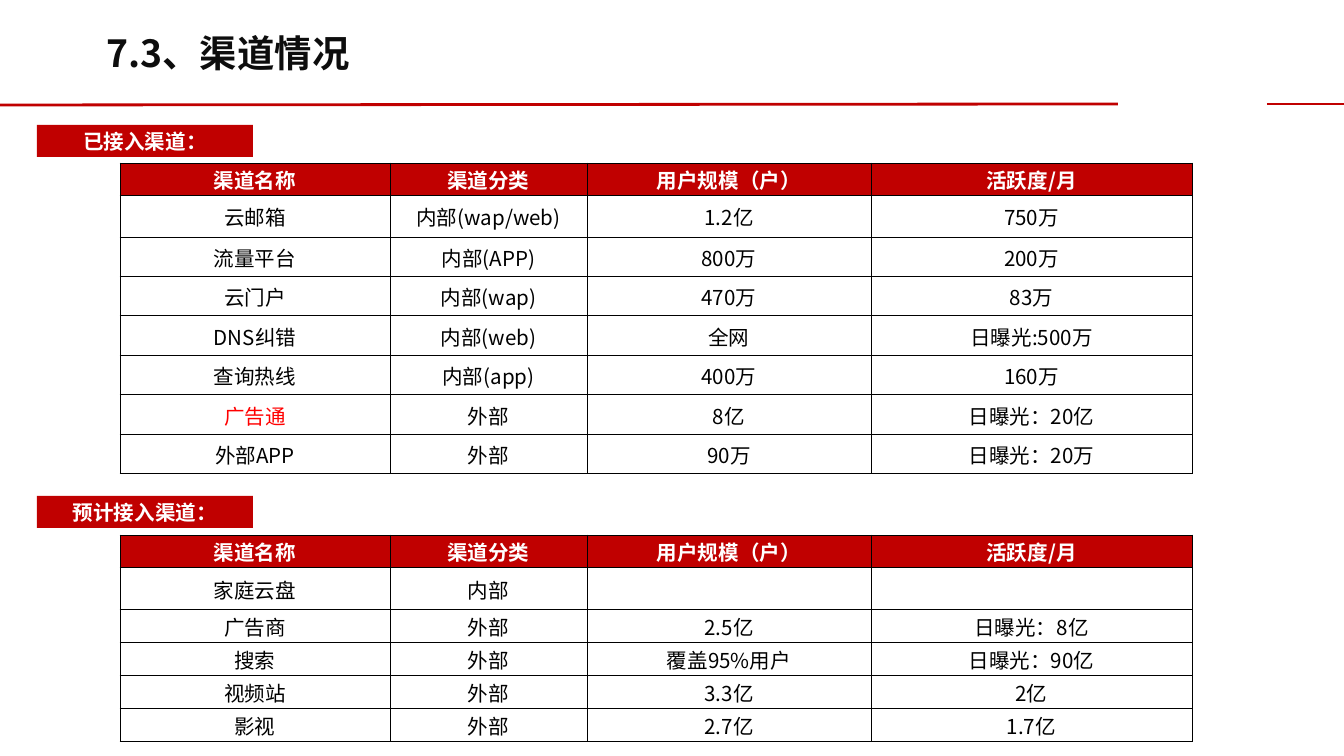
from lxml import etree
from pptx import Presentation
from pptx import util as u
from pptx.dml.color import RGBColor
from pptx.enum import shapes, text
from pptx.oxml.ns import qn

COLORS = {
    "red": "C00000",
    "accent": "FF0000",
    "ink": "0D0D0D",
    "black": "000000",
    "white": "FFFFFF",
}
FONT = "Noto Sans CJK SC"
EMU_PER_PX = 914400 / 134.4


def px(value):
    return u.Emu(round(value * EMU_PER_PX))


def rgb(name):
    return RGBColor.from_string(COLORS[name])


class SlideBuilder:
    def __init__(self, slide):
        self.slide = slide

    def style(self, paragraph, size, color, bold=False, align=text.PP_ALIGN.CENTER):
        paragraph.alignment = align
        font = paragraph.font
        font.size, font.bold, font.name = u.Pt(size), bold, FONT
        font.color.rgb = rgb(color)
        defaults = paragraph._p.pPr.find(qn("a:defRPr"))
        etree.SubElement(defaults, qn("a:ea"), typeface=FONT)

    def line(self, x1, y1, x2, y2):
        connector = self.slide.shapes.add_connector(
            shapes.MSO_CONNECTOR.STRAIGHT, px(x1), px(y1), px(x2), px(y2))
        connector.line.color.rgb = rgb("red")
        connector.line.width = u.Pt(1.5)
        etree.SubElement(connector._element.spPr, qn("a:effectLst"))

    def title(self, words, left, top, width, height):
        box = self.slide.shapes.add_textbox(px(left), px(top), px(width), px(height))
        frame = box.text_frame
        frame.word_wrap = True
        frame.vertical_anchor = text.MSO_ANCHOR.MIDDLE
        frame.text = words
        paragraph = frame.paragraphs[0]
        paragraph.line_spacing = 0.9
        self.style(paragraph, 20, "ink", True, text.PP_ALIGN.LEFT)

    def label(self, words, left, top, width, height):
        shape = self.slide.shapes.add_shape(
            shapes.MSO_SHAPE.RECTANGLE, px(left), px(top), px(width), px(height))
        shape.shadow.inherit = False
        shape.fill.solid()
        shape.fill.fore_color.rgb = rgb("red")
        shape.line.fill.background()
        frame = shape.text_frame
        frame.margin_left = frame.margin_right = px(4)
        frame.margin_top = frame.margin_bottom = px(4)
        frame.vertical_anchor = text.MSO_ANCHOR.MIDDLE
        frame.text = words
        self.style(frame.paragraphs[0], 11, "white", True)

    def border(self, cell):
        properties = cell._tc.get_or_add_tcPr()
        for index, side in enumerate(("lnL", "lnR", "lnT", "lnB")):
            edge = etree.Element(qn(f"a:{side}"), w=str(u.Pt(0.5)))
            fill = etree.SubElement(edge, qn("a:solidFill"))
            etree.SubElement(fill, qn("a:srgbClr"), val=COLORS["black"])
            properties.insert(index, edge)

    def cell(self, cell, words, fill, color, bold):
        cell.margin_left = cell.margin_right = cell.margin_top = px(1)
        cell.margin_bottom = 0
        cell.vertical_anchor = text.MSO_ANCHOR.MIDDLE
        cell.fill.solid()
        cell.fill.fore_color.rgb = rgb(fill)
        self.border(cell)
        cell.text = words
        paragraph = cell.text_frame.paragraphs[0]
        self.style(paragraph, 11, color, bold)
        if not words:
            paragraph._p.get_or_add_endParaRPr().set("sz", "1100")

    def table(self, rows, left, top, widths, heights, highlight=None):
        table = self.slide.shapes.add_table(
            len(rows), len(widths), px(left), px(top),
            px(sum(widths)), px(sum(heights))).table
        table.first_row = table.horz_banding = False
        for column, width in zip(table.columns, widths):
            column.width = px(width)
        for row, height in zip(table.rows, heights):
            row.height = px(height)
        for r, row in enumerate(rows):
            for c, words in enumerate(row):
                if r == 0:
                    fill, color = "red", "white"
                else:
                    fill = "white"
                    color = "accent" if words == highlight else "black"
                self.cell(table.cell(r, c), words, fill, color, r == 0)


HEADER = ("渠道名称", "渠道分类", "用户规模（户）", "活跃度/月")
CONNECTED = [
    HEADER,
    ("云邮箱", "内部(wap/web)", "1.2亿", "750万"),
    ("流量平台", "内部(APP)", "800万", "200万"),
    ("云门户", "内部(wap)", "470万", "83万"),
    ("DNS纠错", "内部(web)", "全网", "日曝光:500万"),
    ("查询热线", "内部(app)", "400万", "160万"),
    ("广告通", "外部", "8亿", "日曝光：20亿"),
    ("外部APP", "外部", "90万", "日曝光：20万"),
]
PLANNED = [
    HEADER,
    ("家庭云盘", "内部", "", ""),
    ("广告商", "外部", "2.5亿", "日曝光：8亿"),
    ("搜索", "外部", "覆盖95%用户", "日曝光：90亿"),
    ("视频站", "外部", "3.3亿", "2亿"),
    ("影视", "外部", "2.7亿", "1.7亿"),
]
COLUMN_WIDTHS = [270, 197, 284, 321]


def main():
    presentation = Presentation()
    presentation.slide_width, presentation.slide_height = px(1344), px(756)
    builder = SlideBuilder(presentation.slides.add_slide(presentation.slide_layouts[6]))
    builder.line(0, 105, 1118, 104)
    builder.line(1267, 104, 1344, 104)
    builder.title("7.3、渠道情况", 93, 20, 1000, 70)
    builder.table(CONNECTED, 120, 163, COLUMN_WIDTHS, [32, 42] + [40, 39] * 3, "广告通")
    builder.label("已接入渠道：", 37, 125, 216, 32)
    builder.label("预计接入渠道：", 37, 496, 216, 32)
    builder.table(PLANNED, 120, 535, COLUMN_WIDTHS, [32, 43] + [33] * 4)
    presentation.save("out.pptx")


if __name__ == "__main__":
    main()
